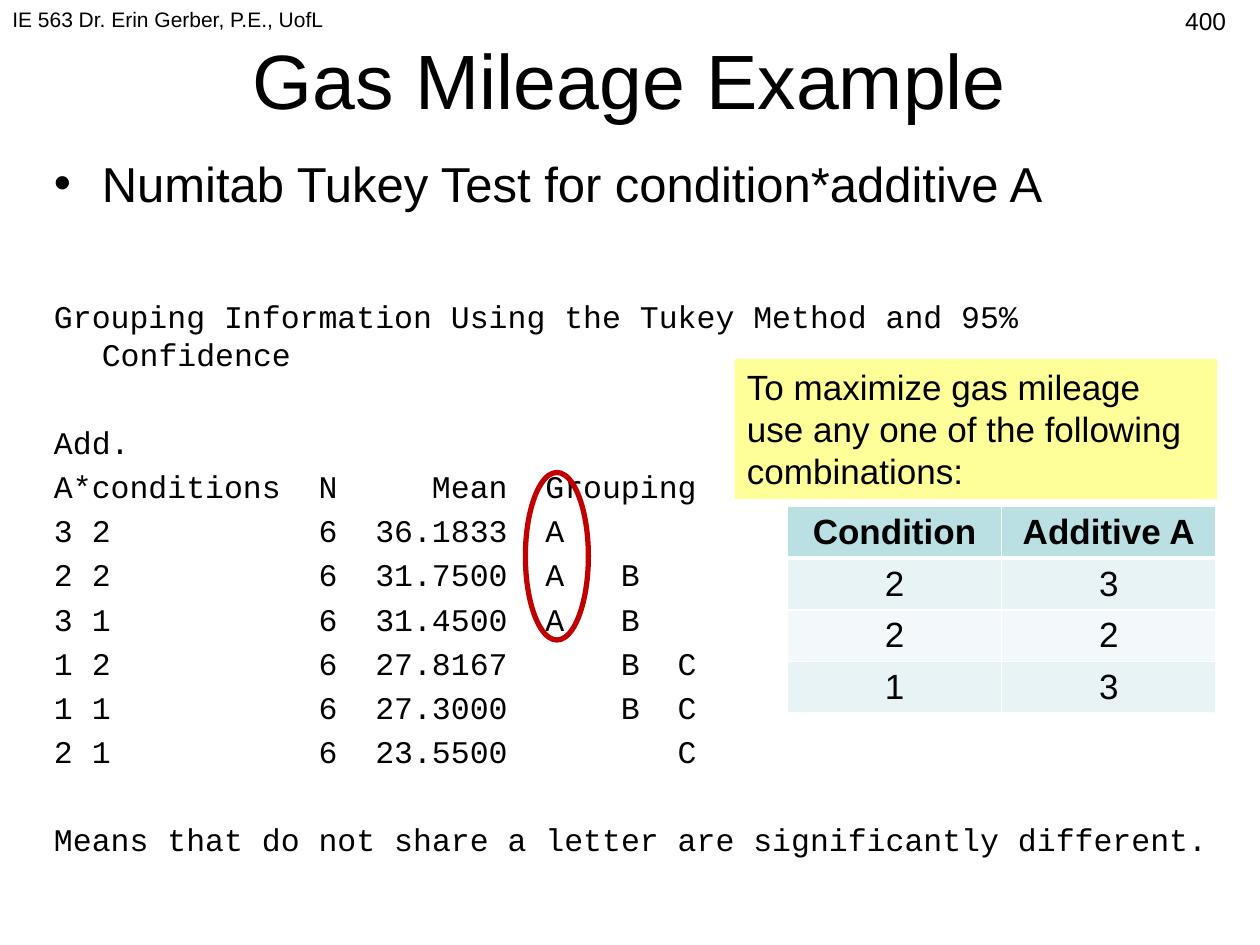
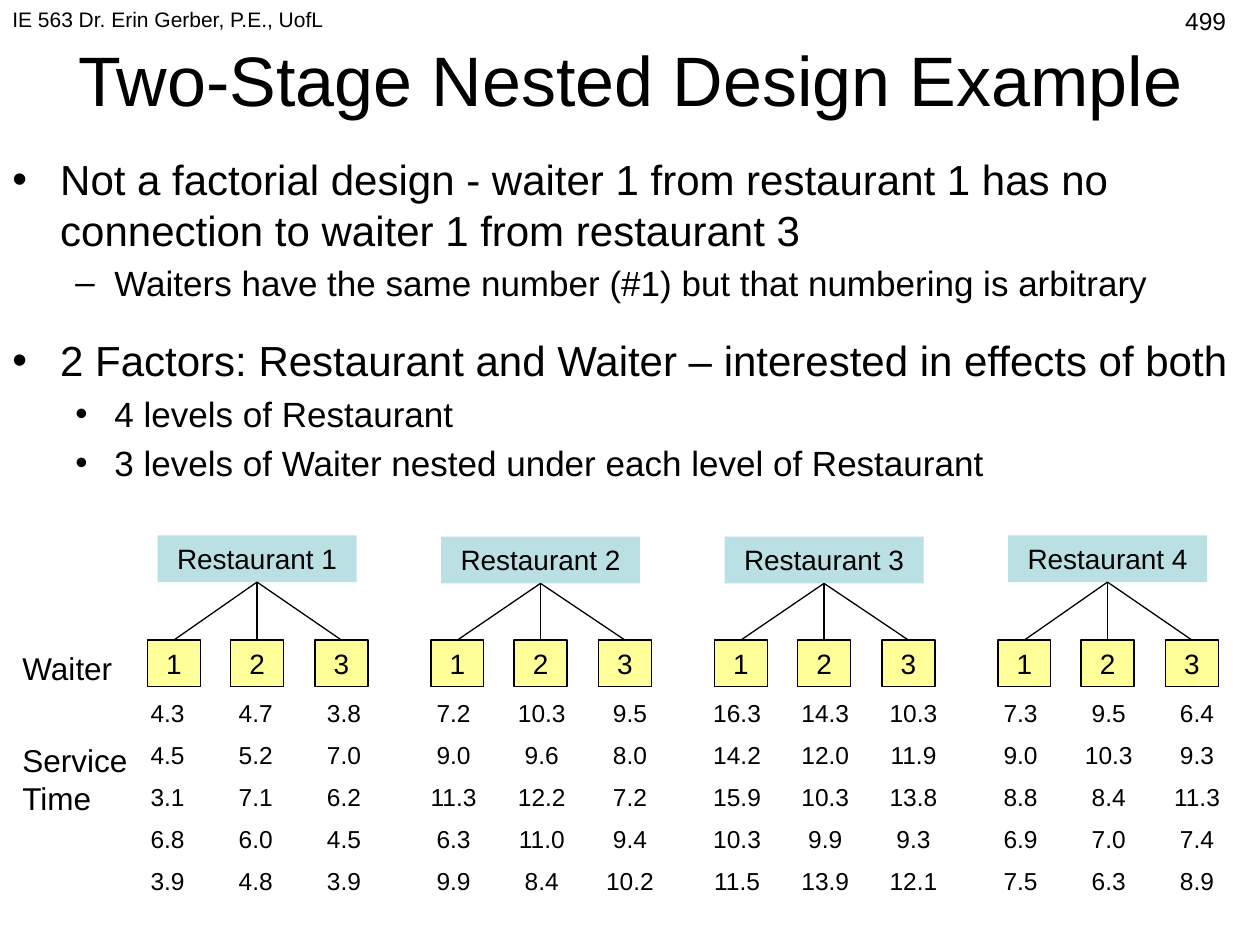
from lxml import etree
from pptx import Presentation
from pptx.dml.color import RGBColor
from pptx.enum.shapes import MSO_CONNECTOR, MSO_SHAPE
from pptx.enum.text import MSO_ANCHOR, MSO_AUTO_SIZE, PP_ALIGN
from pptx.oxml.ns import qn
from pptx.util import Pt

EMU_PER_PX = 9144  # 100 px to the inch
LEFT, CENTER, RIGHT = PP_ALIGN.LEFT, PP_ALIGN.CENTER, PP_ALIGN.RIGHT
TOP, MIDDLE = MSO_ANCHOR.TOP, MSO_ANCHOR.MIDDLE
RECTANGLE, ELLIPSE = MSO_SHAPE.RECTANGLE, MSO_SHAPE.OVAL
STRAIGHT = MSO_CONNECTOR.STRAIGHT
FIT_SHAPE = MSO_AUTO_SIZE.SHAPE_TO_FIT_TEXT

SANS, MONO = "Arial", "Courier New"
BLACK, WHITE, RED = "000000", "FFFFFF", "C00000"
TEAL, YELLOW = "BBE0E3", "FFFF99"
BAND_DARK, BAND_LIGHT = "E7F3F4", "F3F9FA"

# Tab stops of the listing: columns of 15 px, one per monospaced letter
LETTER = 15
LISTING_TABS = [(14, "l"), (24, "r"), (26, "l"), (30, "l"), (33, "l")]
LISTING = [
    "A*conditions\tN\tMean\tGrouping",
    "3 2\t6\t36.1833\tA",
    "2 2\t6\t31.7500\tA\tB",
    "3 1\t6\t31.4500\tA\tB",
    "1 2\t6\t27.8167\t\tB\tC",
    "1 1\t6\t27.3000\t\tB\tC",
    "2 1\t6\t23.5500\t\t\tC",
]
BEST_COMBINATIONS = [["Condition", "Additive A"], ["2", "3"], ["2", "2"], ["1", "3"]]

# Label top, table left, service times by row
RESTAURANTS = [
    (425, 98, ["4.3 4.7 3.8", "4.5 5.2 7.0", "3.1 7.1 6.2", "6.8 6.0 4.5", "3.9 4.8 3.9"]),
    (426, 325, ["7.2 10.3 9.5", "9.0 9.6 8.0", "11.3 12.2 7.2", "6.3 11.0 9.4", "9.9 8.4 10.2"]),
    (426, 550, ["16.3 14.3 10.3", "14.2 12.0 11.9", "15.9 10.3 13.8", "10.3 9.9 9.3",
                "11.5 13.9 12.1"]),
    (425, 775, ["7.3 9.5 6.4", "9.0 10.3 9.3", "8.8 8.4 11.3", "6.9 7.0 7.4", "7.5 6.3 8.9"]),
]


def px(length):
    return int(length * EMU_PER_PX)


def color(value):
    return RGBColor.from_string(value)


def add_span(para, text, size, font=SANS, bold=False):
    span = para.add_run()
    span.text = text
    for name, value in {"size": Pt(size), "name": font, "bold": bold}.items():
        setattr(span.font, name, value)
    span.font.color.rgb = color(BLACK)


def set_frame(frame, text, size, align=LEFT, anchor=TOP, fit=False):
    frame.word_wrap = True
    frame.vertical_anchor = anchor
    if fit:
        frame.auto_size = FIT_SHAPE
    para = frame.paragraphs[0]
    para.alignment = align
    add_span(para, text, size)


def add_text(page, place, text, size, **layout):
    box = page.shapes.add_textbox(*map(px, place))
    set_frame(box.text_frame, text, size, **layout)


def add_shape(page, kind, place, fill=None, line=None, weight=0.75):
    shape = page.shapes.add_shape(kind, *map(px, place))
    shape.shadow.inherit = False
    if fill:
        shape.fill.solid()
        shape.fill.fore_color.rgb = color(fill)
    else:
        shape.fill.background()
    if line:
        shape.line.color.rgb = color(line)
        shape.line.width = Pt(weight)
    else:
        shape.line.fill.background()
    return shape


def add_label(page, place, text, size, fill, line=None, align=CENTER):
    label = add_shape(page, RECTANGLE, place, fill, line)
    set_frame(label.text_frame, text, size, align, fit=True)
    return label


def add_branch(page, child, parent):
    branch = page.shapes.add_connector(STRAIGHT, 0, 0, 0, 0)
    branch.begin_connect(child, 0)
    branch.end_connect(parent, 2)
    branch.line.color.rgb = color(BLACK)
    branch.line.width = Pt(0.75)
    etree.SubElement(branch._element.spPr, qn("a:effectLst"))


def format_paragraph(para, margin, hang, bullet=None, tabs=()):
    properties = para._p.get_or_add_pPr()
    if tabs:  # an indent beside tab stops would reset them
        etree.SubElement(properties, qn("a:buNone"))
        stops = etree.SubElement(properties, qn("a:tabLst"))
        for column, side in tabs:
            etree.SubElement(stops, qn("a:tab"), pos=str(px(column * LETTER)), algn=side)
        return
    for name, value in {"marL": margin, "indent": -hang}.items():
        properties.set(name, str(px(value)))
    if bullet:
        etree.SubElement(properties, qn("a:buFont")).set("typeface", SANS)
        etree.SubElement(properties, qn("a:buChar")).set("char", bullet)


def add_body(page, place, items):
    """Each item: text, size, format values (font, space, margin, hang, bullet, tabs)."""
    frame = page.shapes.add_textbox(*map(px, place)).text_frame
    frame.word_wrap = True
    for index, (text, size, values) in enumerate(items):
        layout = {"margin": 38, "hang": 38, **values}
        font = layout.pop("font", SANS)
        space = layout.pop("space", size * 0.2)
        para = frame.add_paragraph() if index else frame.paragraphs[0]
        format_paragraph(para, **layout)
        if index:
            para.space_before = Pt(space)
        add_span(para, text, size, font)


def add_borders(cell, widths):
    properties = cell._tc.get_or_add_tcPr()
    for index, (side, width) in enumerate(widths.items()):
        border = etree.Element(qn(f"a:{side}"), w=str(Pt(width)))
        fill = etree.SubElement(border, qn("a:solidFill"))
        etree.SubElement(fill, qn("a:srgbClr"), val=WHITE)
        properties.insert(index, border)


def add_grid(page, left, top, column_width, row_height, rows, size, fills,
             bold_header=False, margin=5):
    """Fills: header colour, then the colours that alternate below it."""
    column_count = len(rows[0])
    place = (left, top, column_width * column_count, row_height * len(rows))
    table = page.shapes.add_table(len(rows), column_count, *map(px, place)).table
    header, *bands = fills
    for row, values in enumerate(rows):
        table.rows[row].height = px(row_height)
        for column, value in enumerate(values):
            cell = table.cell(row, column)
            cell.vertical_anchor = MIDDLE
            cell.margin_top = cell.margin_bottom = px(margin)
            cell.fill.solid()
            cell.fill.fore_color.rgb = color(bands[(row - 1) % len(bands)] if row else header)
            add_borders(cell, {"lnL": 1, "lnR": 1, "lnT": 3 if row == 1 else 1,
                               "lnB": 1 if row else 3})
            para = cell.text_frame.paragraphs[0]
            para.alignment = CENTER
            add_span(para, value, size, bold=bold_header and row == 0)


def add_page(deck, title, title_size, title_left, number):
    page = deck.slides.add_slide(deck.slide_layouts[6])
    add_text(page, (title_left, 0, 1000 - 2 * title_left, 125), title, title_size,
             align=CENTER, anchor=MIDDLE)
    add_text(page, (0, 0, 417, 52), "IE 563 Dr. Erin Gerber, P.E., UofL", 12)
    add_text(page, (750, 0, 233, 52), number, 14, align=RIGHT)
    return page


def build_mileage_page(deck):
    page = add_page(deck, "Gas Mileage Example", 44, 50, "400")
    mono = {"font": MONO}
    listing = {"font": MONO, "tabs": LISTING_TABS}
    add_body(page, (33, 117, 945, 495), [
        ("Numitab Tukey Test for condition*additive A", 28, {"bullet": "•"}),
        ("Grouping Information Using the Tukey Method and 95% Confidence", 18,
         {**mono, "space": 48.4}),
        ("Add.", 18, {**mono, "space": 28.8}),
        *[(line, 18, listing) for line in LISTING],
        ("Means that do not share a letter are significantly different.", 18,
         {**mono, "space": 28.8}),
    ])
    # Best group and the advice drawn from it
    add_shape(page, ELLIPSE, (417, 375, 50, 133), line=RED, weight=3)
    add_grid(page, 625, 402, 170, 41, BEST_COMBINATIONS, 20,
             (TEAL, BAND_DARK, BAND_LIGHT), bold_header=True, margin=3)
    add_label(page, (583, 285, 383, 111),
              "To maximize gas mileage use any one of the following combinations:",
              20, YELLOW, align=LEFT)


def add_restaurant(page, index, label_top, table_left, times):
    left = 125 + 225 * index
    restaurant = add_label(page, (left, label_top, 158, 37), f"Restaurant {index + 1}", 16, TEAL)
    for number in range(3):
        place = (left - 8 + number * 200 // 3, 508, 42, 37)
        waiter = add_label(page, place, str(number + 1), 16, YELLOW, BLACK)
        add_branch(page, waiter, restaurant)
    add_grid(page, table_left, 550, 70, 33, [row.split() for row in times], 14, (WHITE, WHITE))


def build_nested_page(deck):
    page = add_page(deck, "Two-Stage Nested Design Example", 40, 25, "499")
    sub = {"margin": 81, "hang": 31}
    add_body(page, (0, 117, 1000, 358), [
        ("Not a factorial design - waiter 1 from restaurant 1 has no connection to "
         "waiter 1 from restaurant 3", 24, {"bullet": "•"}),
        ("Waiters have the same number (#1) but that numbering is arbitrary", 20,
         {**sub, "bullet": "–"}),
        ("2 Factors: Restaurant and Waiter – interested in effects of both", 24,
         {"bullet": "•", "space": 18}),
        ("4 levels of Restaurant", 20, {**sub, "bullet": "•"}),
        ("3 levels of Waiter nested under each level of Restaurant", 20, {**sub, "bullet": "•"}),
    ])
    # Nested tree with the times below it
    for index, restaurant in enumerate(RESTAURANTS):
        add_restaurant(page, index, *restaurant)
    add_text(page, (8, 510, 117, 40), "Waiter", 18, fit=True)
    add_text(page, (8, 583, 117, 71), "Service Time", 18, fit=True)


def main():
    deck = Presentation()
    deck.slide_width, deck.slide_height = px(1000), px(750)
    build_mileage_page(deck)
    build_nested_page(deck)
    deck.save("out.pptx")


if __name__ == "__main__":
    main()
